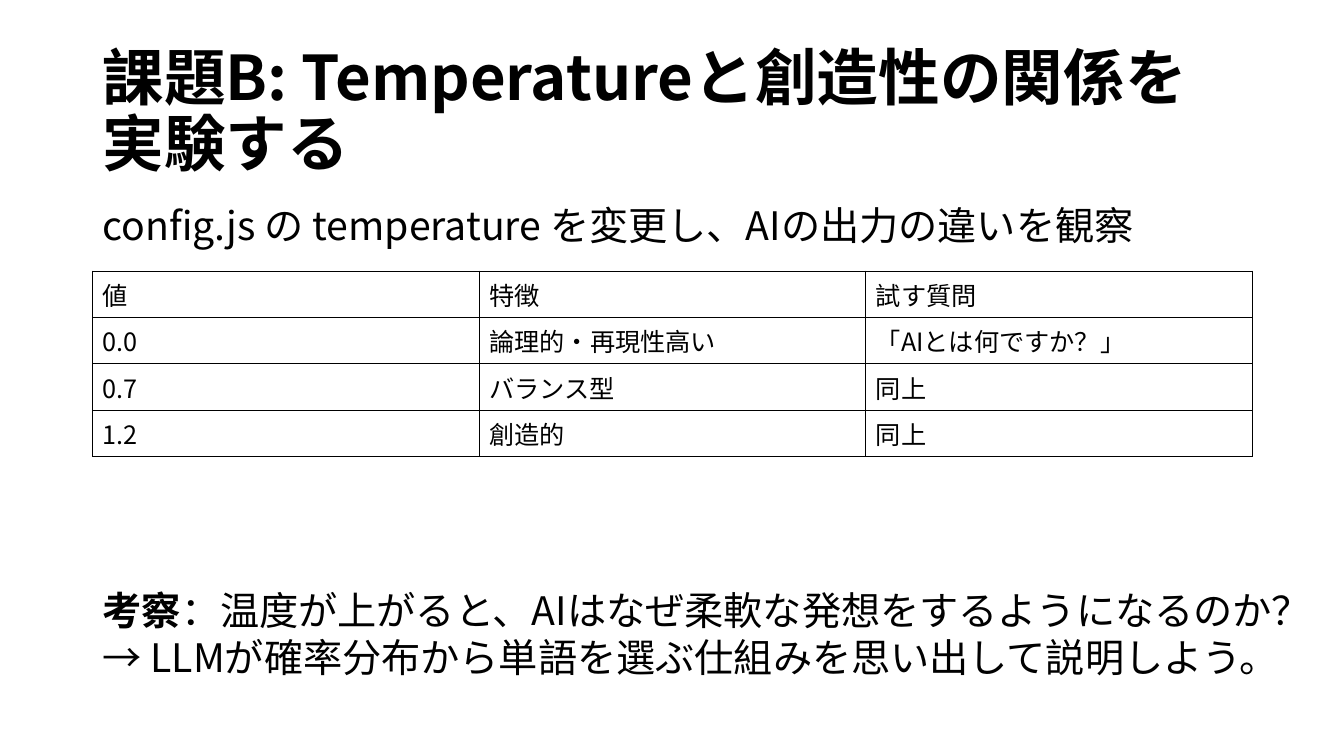
"""Build the slide on temperature and creativity, with its table of experiments."""
from dataclasses import dataclass

from lxml.etree import SubElement
from pptx import Presentation
from pptx.dml.color import RGBColor
from pptx.enum.text import MSO_ANCHOR, MSO_AUTO_SIZE
from pptx.oxml.ns import qn
from pptx.util import Inches, Pt


@dataclass(frozen=True)
class Theme:
    font: str = "Noto Sans CJK JP"
    ink: str = "000000"
    paper: str = "FFFFFF"
    title_size: int = 44
    body_size: int = 28
    table_size: int = 18
    border: int = 1


theme = Theme()


def add_text(paragraph, text, size, bold=False):
    run = paragraph.add_run()
    run.text = text
    run.font.size = Pt(size)
    run.font.bold = bold
    run.font.name = theme.font
    run.font.color.rgb = RGBColor.from_string(theme.ink)
    SubElement(run.font._element, qn("a:ea"), typeface=theme.font)


def add_box(left, top, width, height, wrap=True, anchor=MSO_ANCHOR.TOP):
    shape = slide.shapes.add_textbox(Inches(left), Inches(top), Inches(width), Inches(height))
    shape.text_frame.word_wrap = wrap
    shape.text_frame.vertical_anchor = anchor
    return shape.text_frame


presentation = Presentation()
presentation.slide_width = Inches(13.33)
presentation.slide_height = Inches(7.5)
slide = presentation.slides.add_slide(presentation.slide_layouts[6])
slide.background.fill.solid()
slide.background.fill.fore_color.rgb = RGBColor.from_string(theme.paper)

left, width = 0.92, 11.5

title = add_box(left, 0.4, width, 1.45, anchor=MSO_ANCHOR.MIDDLE).paragraphs[0]
title.line_spacing = 0.9
add_text(title, "課題B: Temperatureと創造性の関係を実験する", theme.title_size, bold=True)

task = add_box(left, 2, width, 0.55).paragraphs[0]
task.line_spacing = 0.9
task.space_before = Pt(10)
add_text(task, "config.js の temperature を変更し、AIの出力の違いを観察", theme.body_size)

experiments = [
    ("値", "特徴", "試す質問"),
    ("0.0", "論理的・再現性高い", "「AIとは何ですか？」"),
    ("0.7", "バランス型", "同上"),
    ("1.2", "創造的", "同上"),
]
row_height = 0.46
table = slide.shapes.add_table(
    len(experiments), len(experiments[0]),
    Inches(left), Inches(2.69), Inches(width), Inches(row_height * len(experiments)),
).table
table.first_row = False
table.horz_banding = False

for row, values in enumerate(experiments):
    for column, value in enumerate(values):
        cell = table.cell(row, column)
        cell.vertical_anchor = MSO_ANCHOR.MIDDLE
        add_text(cell.text_frame.paragraphs[0], value, theme.table_size)
        properties = cell._tc.get_or_add_tcPr()
        for side in ("lnL", "lnR", "lnT", "lnB"):
            line = SubElement(properties, qn(f"a:{side}"), w=str(Pt(theme.border)))
            line_fill = SubElement(line, qn("a:solidFill"))
            SubElement(line_fill, qn("a:srgbClr"), val=theme.ink)
        cell.fill.background()

discussion_frame = add_box(left, 5.77, 12.41, 1.04, wrap=False)
discussion_frame.auto_size = MSO_AUTO_SIZE.SHAPE_TO_FIT_TEXT
discussion = discussion_frame.paragraphs[0]
add_text(discussion, "考察", theme.body_size, bold=True)
add_text(discussion, "：温度が上がると、AIはなぜ柔軟な発想をするようになるのか？", theme.body_size)
discussion.add_line_break()
add_text(discussion, "→ LLMが確率分布から単語を選ぶ仕組みを思い出して説明しよう。", theme.body_size)

presentation.save("out.pptx")
